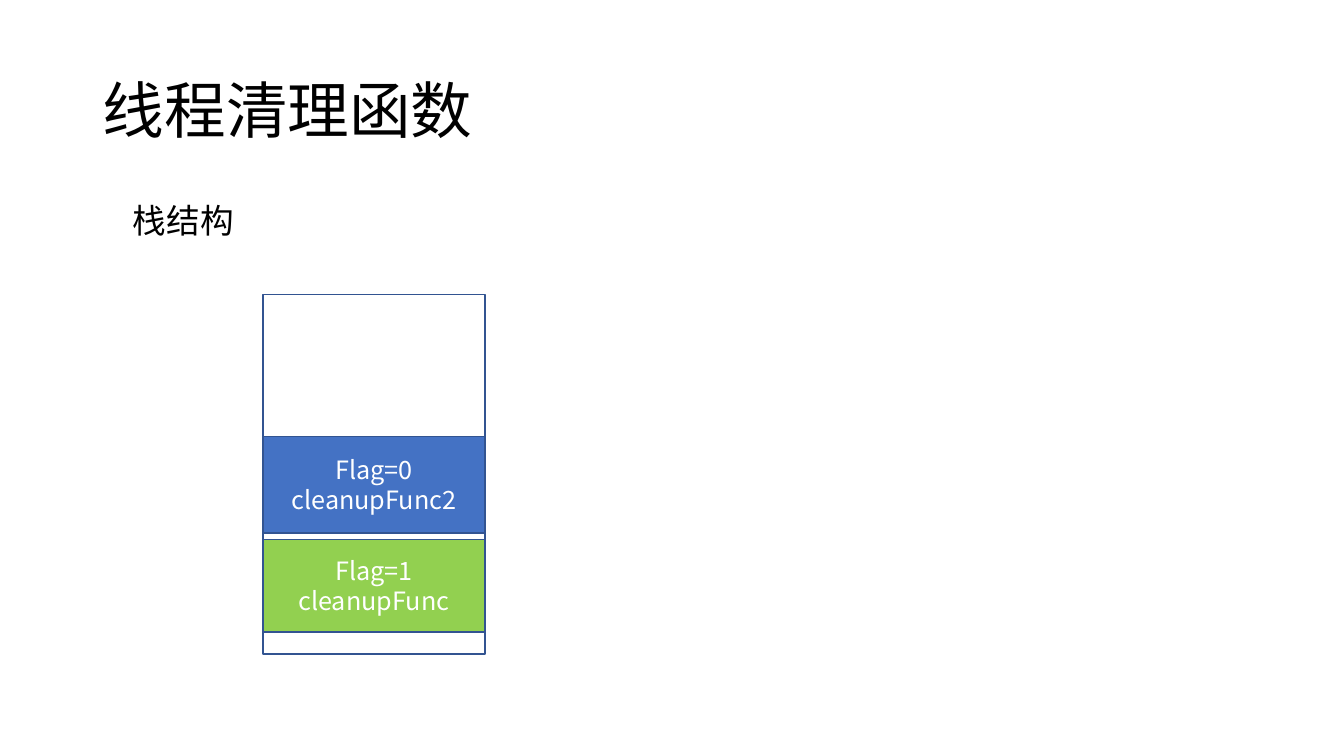
from dataclasses import dataclass

import pptx
import pptx.dml.color
import pptx.enum.shapes
import pptx.enum.text
import pptx.util
from lxml import etree
from pptx.util import Inches

FONT = "Noto Sans CJK SC"
STACK_LEFT, STACK_WIDTH = 2.61, 2.2
ALIGN = pptx.enum.text.PP_ALIGN
ANCHOR = pptx.enum.text.MSO_ANCHOR


@dataclass
class Frame:
    top: float
    height: float
    fill: str = ""
    text: str = ""


def rgb(color: str) -> pptx.dml.color.RGBColor:
    return pptx.dml.color.RGBColor.from_string(color)


def set_text(tf, text: str, size: float, color: str, align=ALIGN.LEFT) -> None:
    tf.text = text
    tf.word_wrap = True
    for p in tf.paragraphs:
        p.alignment = align
        for r in p.runs:
            r.font.size = pptx.util.Pt(size)
            r.font.name = FONT
            r.font.color.rgb = rgb(color)
            # East Asian glyphs need their own typeface entry
            ea = etree.SubElement(r.font._element, pptx.oxml.ns.qn("a:ea"))
            ea.set("typeface", FONT)


def add_frame(s, frame: Frame) -> None:
    sp = s.shapes.add_shape(
        pptx.enum.shapes.MSO_SHAPE.RECTANGLE,
        Inches(STACK_LEFT), Inches(frame.top),
        Inches(STACK_WIDTH), Inches(frame.height))
    sp.shadow.inherit = False
    sp.line.color.rgb = rgb("325491")
    sp.line.width = pptx.util.Pt(1)
    if frame.fill:
        sp.fill.solid()
        sp.fill.fore_color.rgb = rgb(frame.fill)
    else:
        sp.fill.background()
    if frame.text:
        set_text(sp.text_frame, frame.text, 18, "FFFFFF", ALIGN.CENTER)
        sp.text_frame.vertical_anchor = ANCHOR.MIDDLE


prs = pptx.Presentation()
prs.slide_width, prs.slide_height = Inches(13.33), Inches(7.5)
s = prs.slides.add_slide(prs.slide_layouts[5])

# Title
title = s.shapes.title
title.left, title.top = Inches(0.92), Inches(0.4)
title.width, title.height = Inches(11.5), Inches(1.45)
set_text(title.text_frame, "线程清理函数", 44, "000000")
title.text_frame.vertical_anchor = ANCHOR.MIDDLE
title.text_frame.paragraphs[0].line_spacing = 0.9

# Stack outline and its entries
for frame in (
    Frame(2.92, 3.57),
    Frame(4.33, 0.96, "4472C4", "Flag=0\ncleanupFunc2"),
    Frame(5.35, 0.92, "92D050", "Flag=1\ncleanupFunc"),
):
    add_frame(s, frame)

# Stack caption
caption = s.shapes.add_textbox(Inches(1.22), Inches(1.93), Inches(2.28), Inches(0.5))
set_text(caption.text_frame, "栈结构", 24, "000000")
caption.text_frame.auto_size = pptx.enum.text.MSO_AUTO_SIZE.SHAPE_TO_FIT_TEXT

prs.save("out.pptx")
